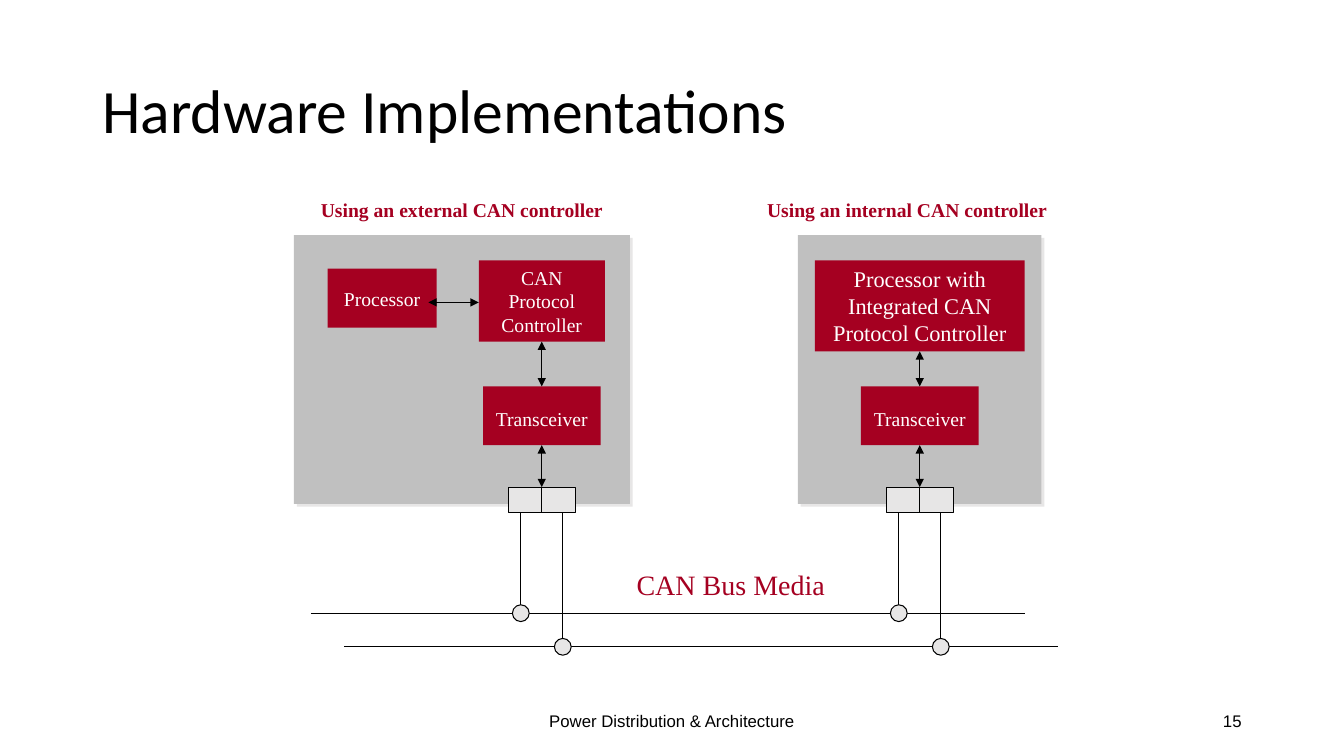
"""Build the slide on CAN hardware implementations."""
from lxml.etree import SubElement
from pptx import Presentation
from pptx.dml.color import RGBColor
from pptx.enum.shapes import MSO_CONNECTOR, MSO_SHAPE
from pptx.enum.text import MSO_ANCHOR, PP_ALIGN
from pptx.oxml.ns import qn
from pptx.util import Pt

HUES = {"black": "000000", "white": "FFFFFF", "red": "A50021", "gray": "C0C0C0", "pale": "E7E6E6"}
SERIF = "Times New Roman"
BUS_HIGH, BUS_LOW = 438, 462
PLUG_TOP, PLUG_END = 348, 366
CHIP_TOP, CHIP_END = 276, 318
DOT = 6


def hue(name):
    return RGBColor.from_string(HUES[name])


def write(shape, text, size=14, color="black", font=SERIF, bold=False,
          align=PP_ALIGN.CENTER, anchor=MSO_ANCHOR.MIDDLE, lead=None, inset=3.6):
    frame = shape.text_frame
    frame.word_wrap = True
    frame.vertical_anchor = anchor
    frame.margin_left = frame.margin_right = Pt(7.2)
    frame.margin_top, frame.margin_bottom = Pt(inset), Pt(3.6)
    frame.text = text
    para = frame.paragraphs[0]
    para.alignment = align
    para.line_spacing = lead
    para.font.size, para.font.name, para.font.bold = Pt(size), font, bold
    para.font.color.rgb = hue(color)


def label(slide, text, left, top, width, height, **fmt):
    box = slide.shapes.add_textbox(Pt(left), Pt(top), Pt(width), Pt(height))
    write(box, text, **fmt)


def shape(slide, left, top, width, height, fill, line=None, kind=MSO_SHAPE.RECTANGLE):
    item = slide.shapes.add_shape(kind, Pt(left), Pt(top), Pt(width), Pt(height))
    item.shadow.inherit = False
    item.fill.solid()
    item.fill.fore_color.rgb = hue(fill)
    if line:
        item.line.color.rgb = hue(line)
        item.line.width = Pt(0.75)
    else:
        item.line.fill.background()
    return item


def panel(slide, left, width):
    item = shape(slide, left, 168, width, 192, "gray")
    effects = item._element.spPr.find(qn("a:effectLst"))
    shade = SubElement(effects, qn("a:outerShdw"), dist=str(int(Pt(2.8))), dir="2700000",
                       algn="ctr", rotWithShape="0")
    SubElement(shade, qn("a:srgbClr"), val=HUES["pale"])


def block(slide, text, left, top, width, height, **fmt):
    write(shape(slide, left, top, width, height, "red"), text, color="white", **fmt)


def wire(slide, x1, y1, x2, y2, heads=False):
    line = slide.shapes.add_connector(MSO_CONNECTOR.STRAIGHT, Pt(x1), Pt(y1), Pt(x2), Pt(y2))
    line.line.color.rgb = hue("black")
    line.line.width = Pt(0.75)
    if heads:
        for end in ("a:headEnd", "a:tailEnd"):
            SubElement(line._element.spPr.find(qn("a:ln")), qn(end), type="triangle")
    SubElement(line._element.spPr, qn("a:effectLst"))


def node(slide, mid, top):
    block(slide, "Transceiver", mid - 42, CHIP_TOP, 84, CHIP_END - CHIP_TOP, inset=7.2)
    wire(slide, mid, top, mid, CHIP_TOP, heads=True)
    shape(slide, mid - 24, PLUG_TOP, 48, PLUG_END - PLUG_TOP, "pale", "black")
    wire(slide, mid, CHIP_END, mid, PLUG_TOP, heads=True)
    wire(slide, mid, PLUG_TOP, mid, PLUG_END)
    for x, bus in ((mid - 15, BUS_HIGH), (mid + 15, BUS_LOW)):
        wire(slide, x, PLUG_END, x, bus - DOT)
        shape(slide, x - DOT, bus - DOT, 2 * DOT, 2 * DOT, "pale", "black", MSO_SHAPE.OVAL)


def main():
    deck = Presentation()
    deck.slide_width, deck.slide_height = Pt(960), Pt(540)
    slide = deck.slides.add_slide(deck.slide_layouts[5])
    title = slide.shapes.title
    title.left, title.top, title.width, title.height = Pt(66), Pt(28.8), Pt(828), Pt(104.4)
    write(title, "Hardware Implementations", size=44, font="Calibri",
          align=PP_ALIGN.LEFT, lead=0.9)

    for left, kind in ((216, "external"), (534, "internal")):
        label(slide, f"Using an {kind} CAN controller", left, 138, 228, 24,
              color="red", bold=True, anchor=MSO_ANCHOR.TOP)
    panel(slide, 210, 240)
    panel(slide, 570, 174)
    block(slide, "Processor", 234, 192, 78, 42)
    block(slide, "CAN Protocol Controller", 342, 186, 90, 58)
    block(slide, "Processor with Integrated CAN Protocol Controller", 582, 186, 150, 65, size=16)
    wire(slide, 306, 216, 342, 216, heads=True)

    wire(slide, 222, BUS_HIGH, 732, BUS_HIGH)
    wire(slide, 246, BUS_LOW, 756, BUS_LOW)
    node(slide, 387, 244)
    node(slide, 657, 251)
    label(slide, "CAN Bus Media", 444, 402, 156, 31, size=20, color="red", anchor=MSO_ANCHOR.TOP)

    label(slide, "Power Distribution & Architecture", 318, 500.4, 324, 28.8, size=12, font="Arial")
    label(slide, "15", 678, 500.4, 216, 28.8, size=12, font="Arial", align=PP_ALIGN.RIGHT)
    deck.save("out.pptx")


if __name__ == "__main__":
    main()
